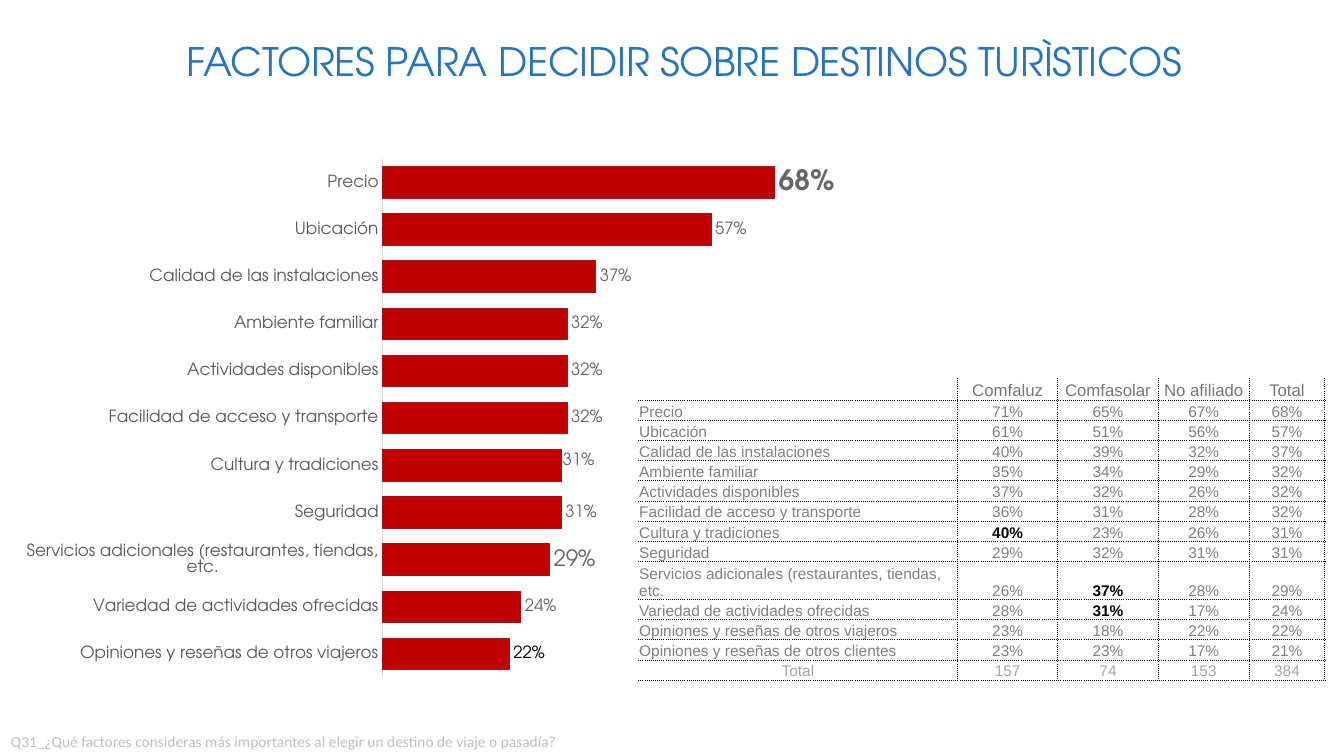
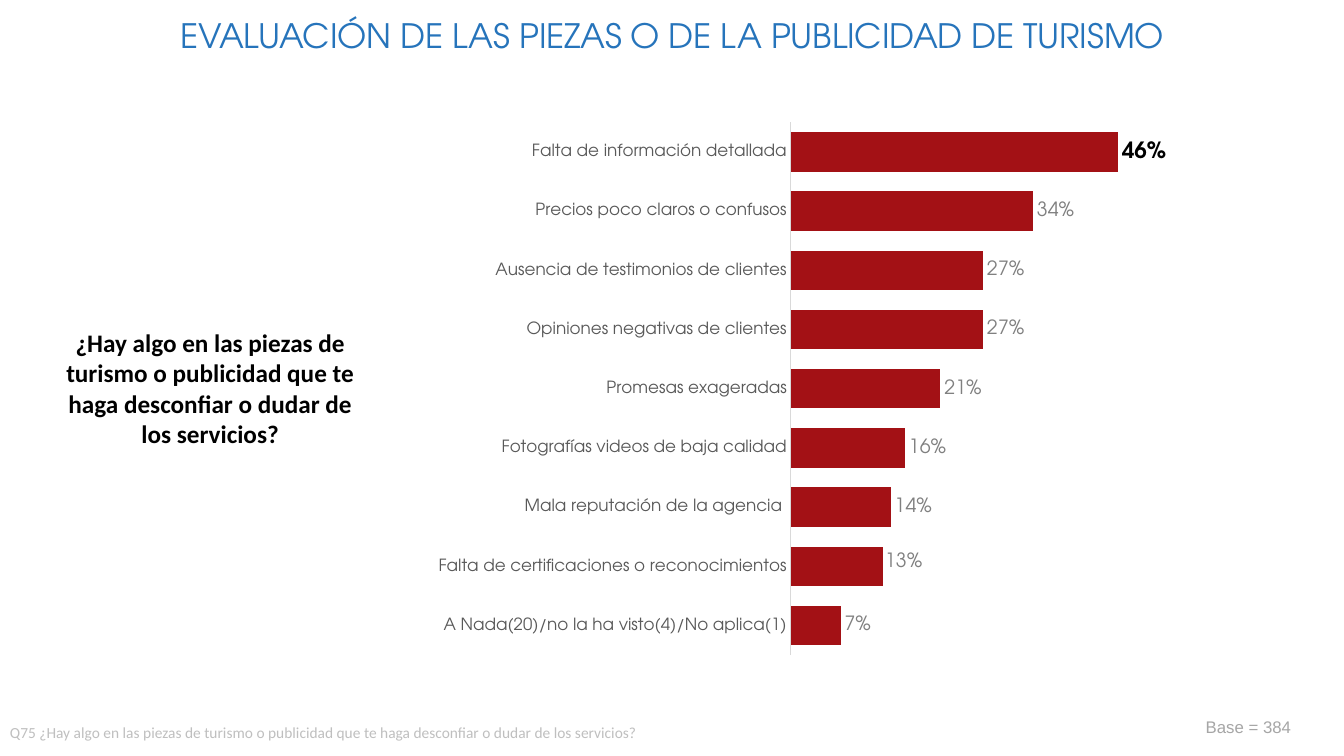
from dataclasses import dataclass, field
from itertools import product

from pptx import Presentation
from pptx.chart.data import CategoryChartData
from pptx.dml.color import RGBColor
from pptx.enum.chart import XL_CHART_TYPE, XL_LABEL_POSITION, XL_TICK_LABEL_POSITION, XL_TICK_MARK
from pptx.enum.text import MSO_ANCHOR, MSO_AUTO_SIZE, PP_ALIGN
from pptx.oxml import parse_xml
from pptx.oxml.ns import nsdecls
from pptx.util import Inches, Pt


@dataclass(frozen=True)
class Theme:
    """Fonts, colours and type sizes shared by the slides."""
    display: str = "TeX Gyre Adventor"
    body: str = "Calibri"
    table: str = "Arial"
    blue: str = "2674BB"
    red: str = "C00000"
    dark_red: str = "A31115"
    black: str = "000000"
    axis_text: str = "595959"
    axis_line: str = "D9D9D9"
    label_dark: str = "666666"
    header: str = "757575"
    cell: str = "808080"
    muted: str = "A6A6A6"
    footer: str = "BFBFBF"
    footer_size: int = 11
    cell_size: int = 11
    text_size: int = 12
    question_size: int = 18


THEME = Theme()


@dataclass(frozen=True)
class BarStyle:
    """Look of one bar chart; highlights map a point to size, bold and colour."""
    plot: tuple
    maximum: float
    fill: str
    label_size: int
    label_color: str
    highlights: dict = field(default_factory=dict)
    nudged: int = 0
    line: str = ""
    reverse: bool = False


FACTORS = [
    ("Precio", 0.68), ("Ubicación", 0.57), ("Calidad de las instalaciones", 0.37),
    ("Ambiente familiar", 0.32), ("Actividades disponibles", 0.32),
    ("Facilidad de acceso y transporte", 0.32), ("Cultura y tradiciones", 0.31),
    ("Seguridad", 0.31), ("Servicios adicionales (restaurantes, tiendas, etc.", 0.29),
    ("Variedad de actividades ofrecidas", 0.24), ("Opiniones y reseñas de otros viajeros", 0.22),
]
FACTOR_STYLE = BarStyle(
    plot=(0.436, 0.036, 0.537, 0.95), maximum=0.8, fill=THEME.red, label_size=12,
    label_color=THEME.label_dark, nudged=6, line=THEME.dark_red, reverse=True,
    highlights={0: (20, True, THEME.label_dark), 6: (12, False, THEME.label_dark),
                8: (16, False, THEME.label_dark), 10: (12, False, THEME.black)},
)
DOUBTS = [
    ("A Nada(20)/no la ha visto(4)/No aplica(1)", 0.07),
    ("Falta de certificaciones o reconocimientos", 0.13),
    ("Mala reputación de la agencia ", 0.14), ("Fotografías videos de baja calidad", 0.16),
    ("Promesas exageradas", 0.21), ("Opiniones negativas de clientes", 0.27),
    ("Ausencia de testimonios de clientes", 0.27), ("Precios poco claros o confusos", 0.34),
    ("Falta de información detallada", 0.46),
]
DOUBT_STYLE = BarStyle(
    plot=(0.505, 0.044, 0.435, 0.913), maximum=0.5, fill=THEME.dark_red, label_size=14,
    label_color=THEME.cell, nudged=1,
    highlights={1: (14, False, THEME.cell), 8: (16, True, THEME.black)},
)
TABLE_HEADER = ["", "Comfaluz", "Comfasolar", "No afiliado", "Total"]
TABLE_PERCENTS = [
    (71, 65, 67, 68), (61, 51, 56, 57), (40, 39, 32, 37), (35, 34, 29, 32), (37, 32, 26, 32),
    (36, 31, 28, 32), (40, 23, 26, 31), (29, 32, 31, 31), (26, 37, 28, 29), (28, 31, 17, 24),
    (23, 18, 22, 22), (23, 23, 17, 21),
]
TABLE_TOTALS = ["Total", "157", "74", "153", "384"]
TABLE_WIDTHS = [3.17, 0.99, 1, 0.9, 0.75]
TABLE_EMPHASIS = {(7, 1), (9, 2), (10, 2)}


def set_font(font, *, size, name, color, bold=False):
    """Format a font."""
    font.size, font.name, font.bold = Pt(size), name, bold
    font.color.rgb = RGBColor.from_string(color)


def write(text_frame, text, *, align=PP_ALIGN.LEFT, **style):
    """Put one formatted run in the first paragraph of a text frame."""
    paragraph = text_frame.paragraphs[0]
    paragraph.alignment = align
    run = paragraph.add_run()
    run.text = text
    set_font(run.font, **style)


def add_text(slide, box, text, *, wrap=True, **style):
    """Add a text box."""
    shape = slide.shapes.add_textbox(*map(Inches, box))
    shape.text_frame.word_wrap = wrap
    write(shape.text_frame, text, **style)


def add_title(slide, box, text, size):
    """Move, fill and format the title placeholder."""
    title = slide.shapes.title
    title.left, title.top, title.width, title.height = map(Inches, box)
    frame = title.text_frame
    frame.margin_left = frame.margin_right = frame.margin_bottom = 0
    frame.margin_top = Inches(0.02)
    frame.vertical_anchor = MSO_ANCHOR.TOP
    frame.auto_size = MSO_AUTO_SIZE.NONE
    frame.word_wrap = True
    write(frame, text, align=PP_ALIGN.CENTER, size=size, name=THEME.display, color=THEME.blue)
    for properties in title.element.xpath(".//a:rPr"):
        properties.set("spc", "-10")


def add_footer(slide, box, text):
    """Add the survey question at the foot of a slide."""
    add_text(slide, box, text, size=THEME.footer_size, name=THEME.body, color=THEME.footer)


def manual_layout(**values):
    """Build a chart layout element."""
    parts = "".join(f'<c:{tag} val="{value}"/>' for tag, value in values.items())
    return parse_xml(f'<c:layout {nsdecls("c")}><c:manualLayout>{parts}</c:manualLayout></c:layout>')


def format_axes(chart, style):
    """Show the category labels and hide the value axis."""
    for axis, name in ((chart.category_axis, THEME.display), (chart.value_axis, THEME.body)):
        axis.major_tick_mark = axis.minor_tick_mark = XL_TICK_MARK.NONE
        axis.has_major_gridlines = False
        set_font(axis.tick_labels.font, size=THEME.text_size, name=name, color=THEME.axis_text)
    category, value = chart.category_axis, chart.value_axis
    category.reverse_order = style.reverse
    category.format.line.color.rgb = RGBColor.from_string(THEME.axis_line)
    category.format.line.width = Pt(0.75)
    value.minimum_scale, value.maximum_scale = 0, style.maximum
    value.tick_label_position = XL_TICK_LABEL_POSITION.NONE
    value.format.line.fill.background()


def format_labels(chart, style):
    """Format the value labels and their highlighted points."""
    plot = chart.plots[0]
    plot.has_data_labels = True
    labels = plot.data_labels
    labels.show_value = True
    labels.number_format, labels.number_format_is_linked = "0%", False
    labels.position = XL_LABEL_POSITION.OUTSIDE_END
    set_font(labels.font, size=style.label_size, name=THEME.display, color=style.label_color)
    for index, (size, bold, color) in style.highlights.items():
        label = plot.series[0].points[index].data_label
        set_font(label.font, size=size, name=THEME.display, color=color, bold=bold)
        label.position = XL_LABEL_POSITION.OUTSIDE_END
    series_labels = chart.element.xpath(".//c:ser/c:dLbls")[0]
    nudged = series_labels.xpath(f'c:dLbl/c:idx[@val="{style.nudged}"]')[0]
    nudged.addnext(manual_layout(x=-0.003, y=-0.008))
    series = plot.series[0].data_labels
    series.show_value = True
    series.number_format, series.number_format_is_linked = "0%", False
    series.position = XL_LABEL_POSITION.OUTSIDE_END
    set_font(series.font, size=style.label_size, name=THEME.display, color=style.label_color)


def add_bars(slide, box, rows, style):
    """Add a horizontal bar chart."""
    data = CategoryChartData(number_format="0%")
    data.categories = [name for name, _ in rows]
    data.add_series("Series 1", [value for _, value in rows])
    chart = slide.shapes.add_chart(XL_CHART_TYPE.BAR_CLUSTERED, *map(Inches, box), data).chart
    chart.has_legend = chart.has_title = False
    set_font(chart.font, size=10, name=THEME.body, color=THEME.black)
    plot = chart.plots[0]
    plot.gap_width, plot.vary_by_categories = 50, False
    bars = plot.series[0].format
    bars.fill.solid()
    bars.fill.fore_color.rgb = RGBColor.from_string(style.fill)
    if style.line:
        bars.line.color.rgb = RGBColor.from_string(style.line)
        bars.line.width = Pt(0.75)
    else:
        bars.line.fill.background()
    format_axes(chart, style)
    format_labels(chart, style)
    area = chart.element.xpath(".//c:plotArea")[0]
    for layout in area.xpath("c:layout"):
        area.remove(layout)
    left, top, width, height = style.plot
    area.insert(0, manual_layout(layoutTarget="inner", xMode="edge", yMode="edge",
                                 x=left, y=top, w=width, h=height))


def add_borders(properties, row, column):
    """Draw dotted cell edges, leaving the table's left and top sides open."""
    edges = {"L": column > 0, "R": True, "T": row > 0, "B": True}
    for position, (side, shown) in enumerate(edges.items()):
        fill = f'<a:solidFill><a:srgbClr val="{THEME.black}"/></a:solidFill><a:prstDash val="sysDot"/>'
        properties.insert(position, parse_xml(
            f'<a:ln{side} {nsdecls("a")} w="6350">{fill if shown else "<a:noFill/>"}</a:ln{side}>'))


def cell_style(row, column, last_row):
    """Choose the text format of a table cell."""
    emphasis = (row, column) in TABLE_EMPHASIS
    color = {0: THEME.header, last_row: THEME.muted}.get(row, THEME.cell)
    label = column == 0 and row < last_row
    return dict(size=THEME.cell_size if row else THEME.text_size, name=THEME.table,
                color=THEME.black if emphasis else color, bold=emphasis,
                align=PP_ALIGN.LEFT if label else PP_ALIGN.CENTER)


def add_results_table(slide, box):
    """Add the table of factors by affiliation."""
    names = [name for name, _ in FACTORS] + ["Opiniones y reseñas de otros clientes"]
    body = [[name, *(f"{value}%" for value in values)] for name, values in zip(names, TABLE_PERCENTS)]
    rows = [TABLE_HEADER, *body, TABLE_TOTALS]
    frame = slide.shapes.add_table(len(rows), len(TABLE_HEADER), *map(Inches, box))
    table = frame.table
    table.first_row = table.horz_banding = False
    for column, width in zip(table.columns, TABLE_WIDTHS):
        column.width = Inches(width)
    for index, row in enumerate(table.rows):
        row.height = Inches(0.2 if index else 0.22)
    positions = product(range(len(rows)), range(len(TABLE_HEADER)))
    for (row, column), element in zip(positions, frame.element.xpath(".//a:tc")):
        cell = table.cell(row, column)
        cell.margin_left = cell.margin_right = cell.margin_top = Inches(0.01)
        cell.margin_bottom = 0
        cell.vertical_anchor = MSO_ANCHOR.BOTTOM
        cell.fill.background()
        add_borders(element.xpath("a:tcPr")[0], row, column)
        if rows[row][column]:
            write(cell.text_frame, rows[row][column], **cell_style(row, column, len(rows) - 1))
        else:
            element.xpath(".//a:p")[0].append(
                parse_xml(f'<a:endParaRPr {nsdecls("a")} sz="{THEME.text_size * 100}"/>'))


def build_factors(slide):
    """Build the slide on factors for choosing a destination."""
    add_title(slide, (1.73, 0.35, 10.11, 0.96), "FACTORES PARA DECIDIR SOBRE DESTINOS TURÌSTICOS", 28)
    add_footer(slide, (0.01, 7.21, 6.67, 0.29),
               "Q31_¿Qué factores consideras más importantes al elegir un destino de viaje o pasadía?")
    add_bars(slide, (0.08, 1.38, 8.52, 5.42), FACTORS, FACTOR_STYLE)
    add_results_table(slide, (6.33, 3.75, 6.81, 2.82))


def build_evaluation(slide):
    """Build the slide on doubts about tourism advertising."""
    question = ("¿Hay algo en las piezas de turismo o publicidad que te haga "
                "desconfiar o dudar de los servicios?")
    add_bars(slide, (3.75, 0.96, 8.11, 5.79), DOUBTS, DOUBT_STYLE)
    add_text(slide, (11.86, 7.06, 1.06, 0.3), "Base = 384", wrap=False,
             size=THEME.text_size, name=THEME.table, color=THEME.muted)
    add_footer(slide, (0, 7.12, 11.56, 0.29), f"Q75 {question}")
    add_title(slide, (1.61, 0.13, 10.11, 0.82),
              "EVALUACIÓN DE LAS PIEZAS O DE LA PUBLICIDAD DE TURISMO", 24)
    add_text(slide, (0.42, 3.2, 3.33, 1.31), question, align=PP_ALIGN.CENTER,
             size=THEME.question_size, name=THEME.body, color=THEME.black, bold=True)


def main():
    """Build and save the presentation."""
    presentation = Presentation()
    presentation.slide_width, presentation.slide_height = Inches(13.33), Inches(7.5)
    for build in (build_factors, build_evaluation):
        build(presentation.slides.add_slide(presentation.slide_layouts[5]))
    presentation.save("out.pptx")


if __name__ == "__main__":
    main()
